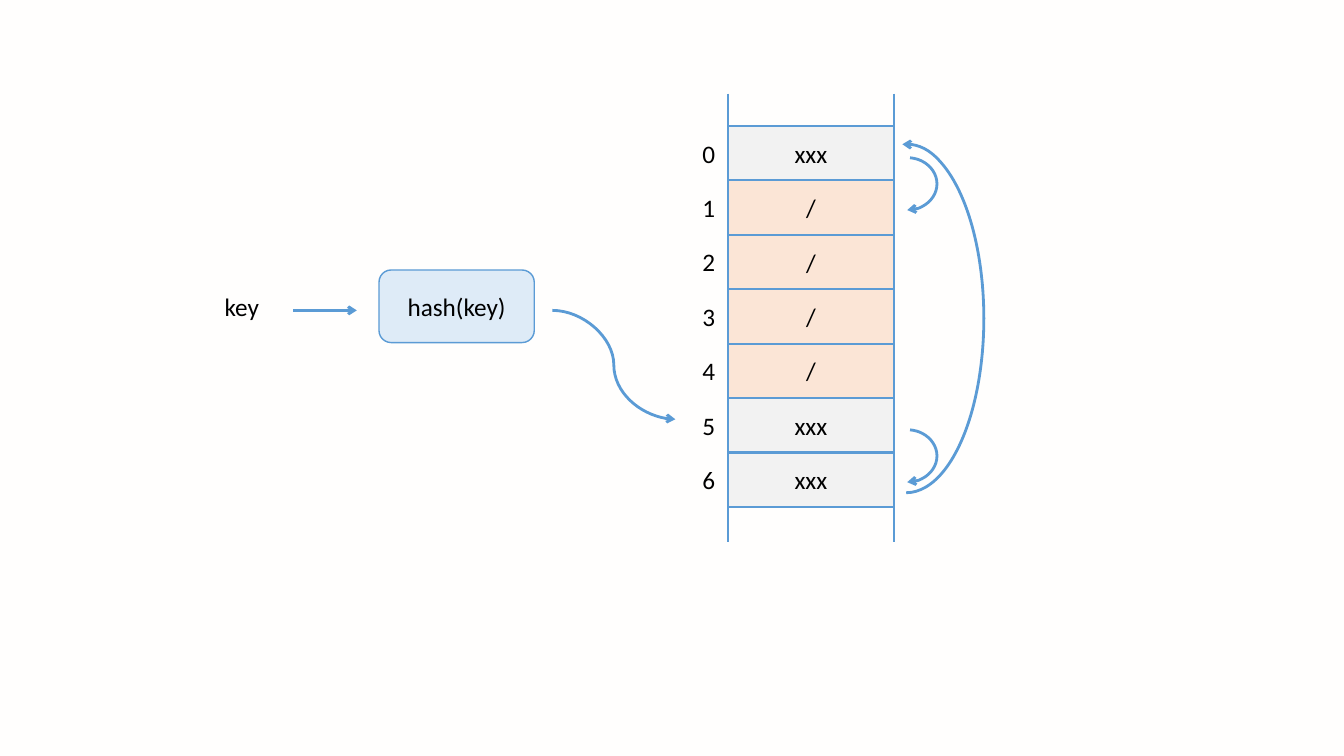
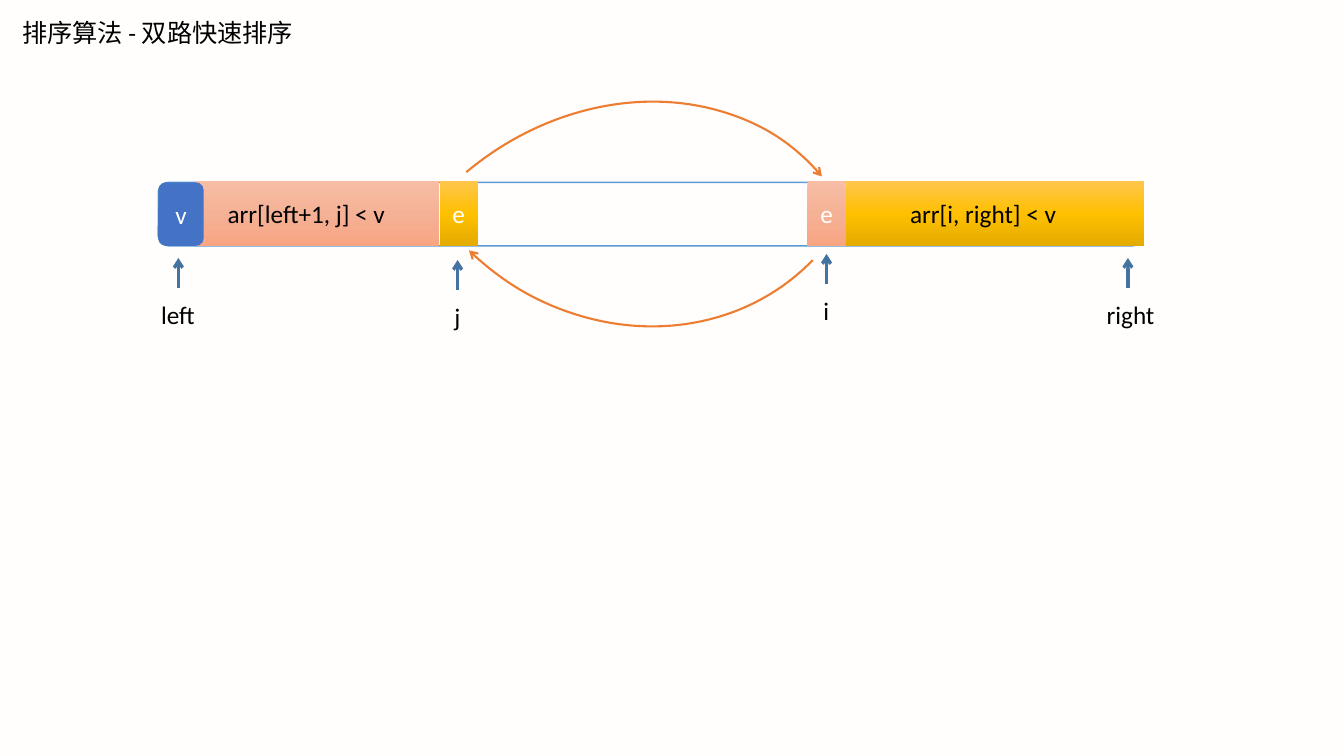
from copy import deepcopy
from dataclasses import dataclass

from lxml.etree import SubElement
from pptx import Presentation
from pptx.dml.color import RGBColor
from pptx.enum.shapes import MSO_CONNECTOR as Link, MSO_SHAPE as Shape
from pptx.enum.text import MSO_ANCHOR as Anchor, PP_ALIGN as Align
from pptx.oxml.ns import qn
from pptx.util import Inches, Pt


@dataclass(frozen=True)
class Theme:
    font: str = "Calibri"
    size: int = 18
    paper: str = "FFFEFD"
    ink: str = "000000"
    white: str = "FFFFFF"
    blue: str = "5B9BD5"
    pale_blue: str = "DEEBF7"
    pivot: str = "4472C4"
    pointer: str = "43739E"
    swap: str = "ED7D31"
    used: str = "F2F2F2"
    free: str = "FBE5D6"
    peach: tuple = ("F7BDA5", "F5B196", "F8A582")
    gold: tuple = ("FFC64B", "FFC000", "E3AB00")


theme = Theme()
deck = Presentation()
deck.slide_width, deck.slide_height = Inches(13.33), Inches(7.5)
UNIT = deck.slide_width / 40  # the grid is square: 40 columns, 22.5 rows
TEXT_ROWS = 1.2

paper = deck.slide_master.background.fill
paper.solid()
paper.fore_color.rgb = RGBColor.from_string(theme.paper)
blank = deck.slide_layouts[6]


def place(page, kind, area, text="", fill=None, ink=theme.ink):
    """Add a shape, or a text box when kind is None; area is in grid units.

    A tuple given as fill becomes a gradient from top to bottom.
    """
    area = [round(length * UNIT) for length in area]
    if kind is None:
        box = page.shapes.add_textbox(*area)
    else:
        box = page.shapes.add_shape(kind, *area)
        box.shadow.inherit = False
        box.line.fill.background()
        box.text_frame.vertical_anchor = Anchor.MIDDLE
        if fill is None:
            box.fill.background()
        elif isinstance(fill, str):
            box.fill.solid()
            box.fill.fore_color.rgb = RGBColor.from_string(fill)
        else:
            box.fill.gradient()
            box.fill.gradient_angle = 270
            stops = box._element.spPr.find(".//" + qn("a:gsLst"))
            stops.append(deepcopy(stops[-1]))
            for index, stop in enumerate(box.fill.gradient_stops):
                stop.position = index / 2
                stop.color.rgb = RGBColor.from_string(fill[index])
    if text:
        box.text_frame.word_wrap = True
        box.text_frame.text = text
        para = box.text_frame.paragraphs[0]
        para.alignment = Align.LEFT if kind is None else Align.CENTER
        span = para.runs[0]
        span.font.name, span.font.size = theme.font, Pt(theme.size)
        span.font.color.rgb = RGBColor.from_string(ink)
    return box


def stroke(item, color, width, arrow=None):
    """Style an outline or connector; arrow is headEnd (start) or tailEnd."""
    item.line.color.rgb = RGBColor.from_string(color)
    item.line.width = Pt(width)
    properties = item._element.spPr
    if arrow:
        SubElement(properties.find(qn("a:ln")), qn("a:" + arrow), type="arrow")
    if properties.find(qn("a:effectLst")) is None:
        SubElement(properties, qn("a:effectLst"))


# Slide 1: a hash table with linear probing
page = deck.slides.add_slide(blank)
place(page, None, (6.39, 8.52, 1.77, TEXT_ROWS), "key")
hash_box = place(page, Shape.ROUNDED_RECTANGLE, (11.28, 8.04, 4.62, 2.16),
                 "hash(key)", theme.pale_blue)
stroke(hash_box, theme.blue, 1)

TABLE_LEFT, TABLE_TOP, CELL_WIDTH, CELL_HEIGHT = 21.66, 3.75, 4.95, 1.62
RAIL_TOP, RAIL_END = 2.79, 16.15
links = [
    (Link.STRAIGHT, (8.73, 9.24, 10.62, 9.24), 2, "tailEnd"),
    (Link.CURVE, (16.44, 9.24, 20.1, 12.48), 2, "tailEnd"),
]
for rail in (TABLE_LEFT, TABLE_LEFT + CELL_WIDTH):
    links.append((Link.STRAIGHT, (rail, RAIL_TOP, rail, RAIL_END), 1.5, None))
for kind, ends, width, arrow in links:
    link = page.shapes.add_connector(kind, *[round(end * UNIT) for end in ends])
    stroke(link, theme.blue, width, arrow)

for row, content in enumerate(["xxx", "/", "/", "/", "/", "xxx", "xxx"]):
    top = TABLE_TOP + row * CELL_HEIGHT
    cell = place(page, Shape.RECTANGLE, (TABLE_LEFT, top, CELL_WIDTH, CELL_HEIGHT),
                 content, theme.free if content == "/" else theme.used)
    stroke(cell, theme.blue, 1.5)
    place(page, None, (TABLE_LEFT - 1.05, top + 0.21, 1.02, TEXT_ROWS), str(row))

probes = [((26.22, 4.59 + row * CELL_HEIGHT, 1.56, 1.77), 111.72, "tailEnd")
          for row in (5, 0)]
probes.append(((21.78, 7.17, 10.38, 4.62), 107.24, "headEnd"))
for area, start, arrow in probes:
    probe = place(page, Shape.ARC, area)
    probe.rotation = 90
    probe.adjustments[0] = start
    stroke(probe, theme.blue, 2, arrow)

# Slide 2: two-way quicksort
page = deck.slides.add_slide(blank)
place(page, None, (0.36, 0.36, 13.32, TEXT_ROWS), "排序算法 - 双路快速排序")

BAND_TOP, BAND_HEIGHT, ARRAY_LEFT = 5.4, 1.92, 4.71
array = place(page, Shape.ROUNDED_RECTANGLE, (ARRAY_LEFT, 5.43, 29.31, 1.89))
stroke(array, theme.blue, 1)
for left, width, text, fill in [
    (5.79, 7.29, "", theme.peach),
    (13.08, 1.14, "e", theme.gold),
    (24.03, 1.14, "e", theme.peach),
    (25.17, 8.88, "", theme.gold),
]:
    place(page, Shape.RECTANGLE, (left, BAND_TOP, width, BAND_HEIGHT),
          text, fill, theme.white)
place(page, Shape.ROUNDED_RECTANGLE, (ARRAY_LEFT, 5.43, 1.35, 1.89),
      "v", theme.pivot, theme.white)
for left, width, text in [(6.48, 6.33, "arr[left+1, j] < v"),
                          (26.79, 5.82, "arr[i, right] < v")]:
    place(page, None, (left, 5.76, width, TEXT_ROWS), text)

for name, left, width, tip_x, tip_y in [
    ("left", 4.5, 2.01, 5.31, 7.68),
    ("j", 13.23, 1.14, 13.62, 7.74),
    ("i", 24.21, 1.14, 24.6, 7.56),
    ("right", 32.64, 2.13, 33.57, 7.68),
]:
    place(page, None, (left, tip_y + 1.08, width, TEXT_ROWS), name)
    ends = (tip_x, tip_y, tip_x, tip_y + 0.88)
    pointer = page.shapes.add_connector(
        Link.STRAIGHT, *[round(end * UNIT) for end in ends])
    stroke(pointer, theme.pointer, 2.25, "headEnd")

for area, turn in [((10.29, 3.51, 16.05, 13.8), 320),
                   ((11.85, -5.07, 13.8, 15.12), 134)]:
    swap = place(page, Shape.ARC, area)
    swap.rotation = turn
    stroke(swap, theme.swap, 1.5, "tailEnd")

deck.save("out.pptx")
